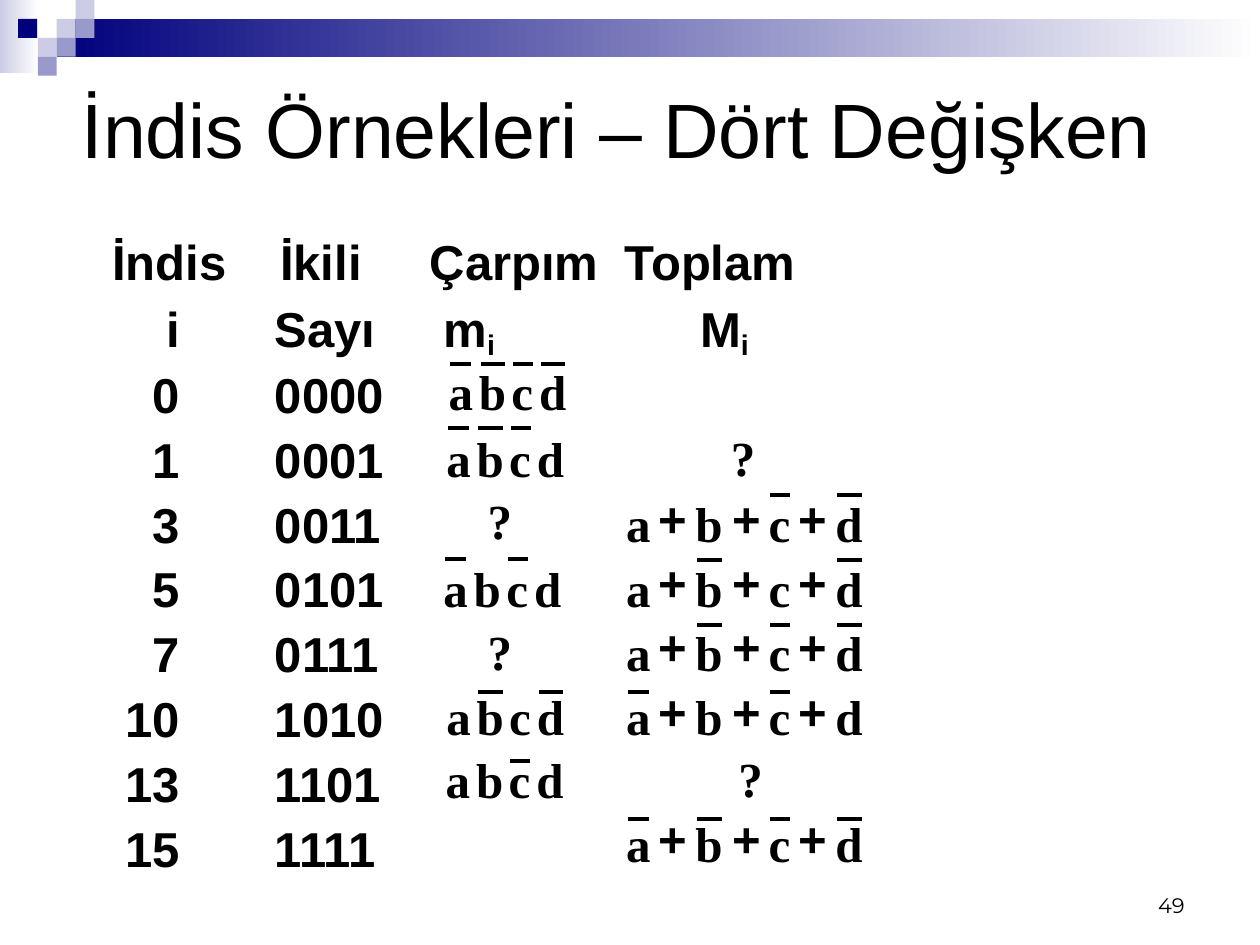
from lxml import etree
from pptx import Presentation
from pptx.dml.color import RGBColor
from pptx.enum.shapes import MSO_CONNECTOR, MSO_SHAPE
from pptx.enum.text import MSO_ANCHOR, MSO_AUTO_SIZE, PP_ALIGN
from pptx.oxml.ns import qn
from pptx.util import Pt

RECT = MSO_SHAPE.RECTANGLE
STRAIGHT = MSO_CONNECTOR.STRAIGHT
TOP, MIDDLE, BOTTOM = MSO_ANCHOR.TOP, MSO_ANCHOR.MIDDLE, MSO_ANCHOR.BOTTOM
LEFT, RIGHT = PP_ALIGN.LEFT, PP_ALIGN.RIGHT

COLORS = {"text": "000000", "navy": "00007D", "lilac": "CCCCE6",
          "violet": "9999CC", "white": "FFFFFF"}


def rgb(name):
    return RGBColor.from_string(COLORS[name])


def add_text(left, top, width, height, text, size, font, bold=False,
             anchor=TOP, align=LEFT, tight=False):
    """Add a one-paragraph text box; a tight one has no margins or wrapping."""
    frame = slide.shapes.add_textbox(Pt(left), Pt(top), Pt(width), Pt(height)).text_frame
    frame.word_wrap = not tight
    frame.vertical_anchor = anchor
    if tight:
        frame.margin_left = frame.margin_right = frame.margin_top = frame.margin_bottom = 0
        frame.auto_size = MSO_AUTO_SIZE.SHAPE_TO_FIT_TEXT
    paragraph = frame.paragraphs[0]
    paragraph.text = text
    paragraph.alignment = align
    paragraph.font.size = Pt(size)
    paragraph.font.name = font
    paragraph.font.bold = bold
    paragraph.font.color.rgb = rgb("text")


prs = Presentation()
prs.slide_width, prs.slide_height = Pt(720), Pt(540)
slide = prs.slides.add_slide(prs.slide_layouts[6])

# Header band and mosaic; two colours make a left-to-right gradient
SQUARE = 10.8
decorations = [
    (0, 0, 22.3, 41.8, ["lilac", "white"]),
    (32.4, 10.8, 687.6, 21.6, ["navy", "white"]),
    (32.4, 10.8, SQUARE, SQUARE, ["lilac"]),
    (43.2, 0, SQUARE, SQUARE, ["lilac"]),
    (43.2, 10.8, SQUARE, SQUARE, ["violet"]),
    (21.6, 21.6, SQUARE, SQUARE, ["lilac"]),
    (10.4, 10.8, SQUARE, SQUARE, ["navy"]),
    (32.4, 21.6, SQUARE, SQUARE, ["violet"]),
    (21.6, 32.4, SQUARE, SQUARE, ["violet"]),
]
for left, top, width, height, fills in decorations:
    block = slide.shapes.add_shape(RECT, Pt(left), Pt(top), Pt(width), Pt(height))
    block.shadow.inherit = False
    block.line.fill.background()
    if len(fills) == 1:
        block.fill.solid()
        block.fill.fore_color.rgb = rgb(fills[0])
    else:
        block.fill.gradient()
        block.fill.gradient_angle = 0
        for stop, name in zip(block.fill.gradient_stops, fills):
            stop.color.rgb = rgb(name)

add_text(516.2, 491.8, 167.8, 36, "49", 12, "Montserrat", anchor=BOTTOM, align=RIGHT)
add_text(39.6, 32.4, 663.8, 80.6, "İndis Örnekleri – Dört Değişken", 44, "Arial",
         anchor=MIDDLE)

# Index and binary columns; "_" marks a subscript run
HEADER_TABS = [(8, "l"), (104, "l"), (189.5, "l"), (301, "l")]
ROW_TABS = [(46.8, "r"), (101, "l"), (197.5, "l"), (344, "l")]
rows = [["İndis", "İkili", "Çarpım", "Toplam"], ["i", "Sayı", "m_i", "M_i"]]
rows += [[str(index), f"{index:04b}"] for index in (0, 1, 3, 5, 7, 10, 13, 15)]

body = slide.shapes.add_textbox(Pt(49), Pt(132.5), Pt(612), Pt(396)).text_frame
body.word_wrap = True
for number, cells in enumerate(rows):
    paragraph = body.add_paragraph() if number else body.paragraphs[0]
    paragraph.line_spacing = 0.9
    if number:
        paragraph.space_before = Pt(6.8)
    tab_list = etree.SubElement(paragraph._p.get_or_add_pPr(), qn("a:tabLst"))
    for position, side in ROW_TABS if number else HEADER_TABS:
        etree.SubElement(tab_list, qn("a:tab"), pos=str(int(Pt(position))), algn=side)
    for cell in cells:
        base, _, subscript = cell.partition("_")
        paragraph.add_run().text = "\t" + base
        if subscript:
            run = paragraph.add_run()
            run.text = subscript
            run.font._element.set("baseline", "-16000")
    paragraph.font.size = Pt(28)
    paragraph.font.name = "Arial"
    paragraph.font.bold = True
    paragraph.font.color.rgb = rgb("text")

# Minterms and maxterms: left, text top, bar height, complemented letters
LETTER_WIDTHS = {"a": 13.7, "b": 15.8, "c": 12.2, "d": 15.8}
BAR_WIDTHS = {"a": 12, "b": 14, "c": 11.2, "d": 14}
PRODUCT_OFFSETS = {"a": 0, "b": 17.3, "c": 36, "d": 51.8}
SUM_OFFSETS = {"a": 0, "b": 39.6, "c": 81.4, "d": 119.5}
PLUS_OFFSETS = [18.7, 60.5, 98.6]
products = [
    (256.3, 206.6, 208.1, "abcd"),
    (255, 244.8, 244.8, "abc"),
    (253.4, 319, 319.7, "ac"),
    (255, 392.4, 395.5, "bd"),
    (254.7, 428.4, 434.9, "c"),
]
sums = [
    (357.8, 282.2, 283, "cd"),
    (357.8, 319, 320, "bd"),
    (357.8, 355.7, 357.1, "bcd"),
    (357.8, 392.4, 395.3, "ac"),
    (357.8, 465.1, 468, "abcd"),
]
terms = [(PRODUCT_OFFSETS, [], term) for term in products]
terms += [(SUM_OFFSETS, PLUS_OFFSETS, term) for term in sums]
for offsets, pluses, (left, top, bar_y, complemented) in terms:
    for letter, offset in offsets.items():
        add_text(left + offset, top, LETTER_WIDTHS[letter], 33.8, letter, 28,
                 "Times New Roman", bold=True, tight=True)
    for offset in pluses:
        add_text(left + offset, top - 3.2, 15.1, 33.8, "+", 28, "Arial",
                 bold=True, tight=True)
    for letter in complemented:
        start = left + offsets[letter] + 1
        bar = slide.shapes.add_connector(STRAIGHT, Pt(start), Pt(bar_y),
                                         Pt(start + BAR_WIDTHS[letter]), Pt(bar_y))
        bar.line.color.rgb = rgb("text")
        bar.line.width = Pt(2.25)
        etree.SubElement(bar._element.spPr, qn("a:effectLst"))

# Terms left for the reader to work out
for left, top in [(417.6, 244.1), (278.6, 280.1), (278.6, 355), (421.9, 427.7)]:
    add_text(left, top, 13.7, 33.8, "?", 28, "Times New Roman", bold=True, tight=True)

prs.save("out.pptx")
